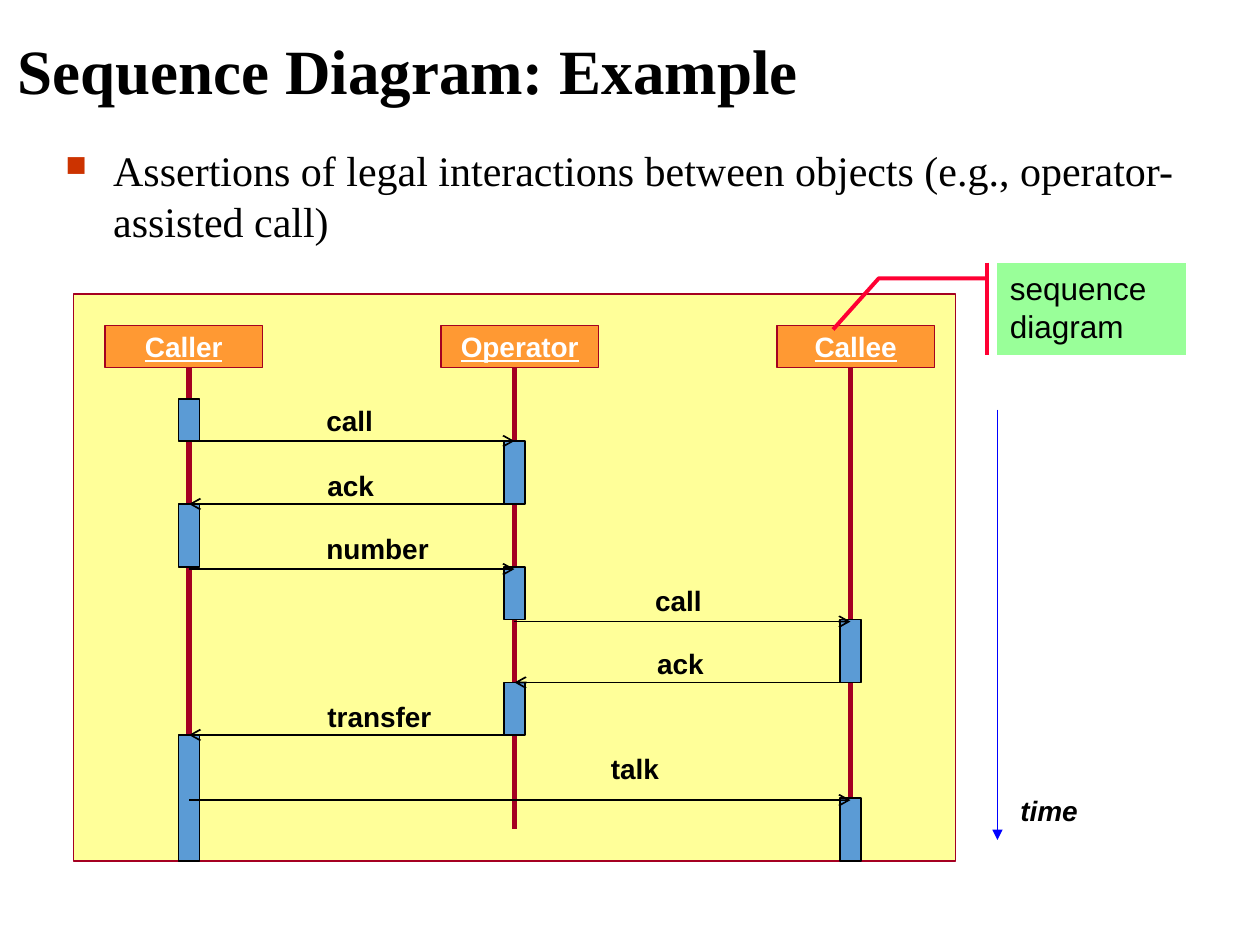
from lxml import etree
from pptx import Presentation
from pptx.dml.color import RGBColor
from pptx.enum.shapes import MSO_CONNECTOR, MSO_SHAPE
from pptx.enum.text import MSO_ANCHOR, MSO_AUTO_SIZE, PP_ALIGN
from pptx.oxml.ns import qn
from pptx.util import Inches, Pt

RECT = MSO_SHAPE.RECTANGLE
CALLOUT = MSO_SHAPE.LINE_CALLOUT_2_ACCENT_BAR
STRAIGHT = MSO_CONNECTOR.STRAIGHT
TOP, MIDDLE = MSO_ANCHOR.TOP, MSO_ANCHOR.MIDDLE
LEFT, CENTER = PP_ALIGN.LEFT, PP_ALIGN.CENTER
FIT = MSO_AUTO_SIZE.SHAPE_TO_FIT_TEXT

BLACK = RGBColor(0, 0, 0)
WHITE = RGBColor(0xFF, 0xFF, 0xFF)
CREAM = RGBColor(0xFF, 0xFF, 0x99)
ORANGE = RGBColor(0xFF, 0x99, 0x33)
MAROON = RGBColor(0xA5, 0x00, 0x21)
STEEL = RGBColor(0x5B, 0x9B, 0xD5)
BLUE = RGBColor(0, 0, 0xFF)
GREEN = RGBColor(0x99, 0xFF, 0x99)
RED = RGBColor(0xFF, 0x00, 0x33)
SERIF, SANS = "Times New Roman", "Arial"

# Grid: twelve cells to the inch
CELL = 12
ROLES = [("Caller", 10), ("Operator", 42), ("Callee", 74)]  # name, box column
LINES = [18, 49, 81]  # lifeline columns
# Activations: lifeline, top row, rows
BARS = [(0, 38, 4), (1, 42, 6), (0, 48, 6), (1, 54, 5),
        (2, 59, 6), (1, 65, 5), (0, 70, 12), (2, 76, 6)]
# Messages: text, from, to, row, label column, label row, label columns
CALLS = [("call", 0, 1, 42, 29.9, 37.8, 6.8),
         ("ack", 1, 0, 48, 30, 44, 6.8),
         ("number", 0, 1, 54.2, 29.9, 50, 12.2),
         ("call", 1, 2, 59.2, 61.2, 55, 6.8),
         ("ack", 2, 1, 65, 61.4, 61, 6.8),
         ("talk", 0, 2, 76.2, 57, 71, 7.1),
         ("transfer", 1, 0, 70, 30, 66, 12.4)]


def grid(*cells):
    return [Inches(n / CELL) for n in cells]


def write(frame, text, size, font=SANS, color=BLACK, align=LEFT, **style):
    para = frame.paragraphs[0]
    para.alignment = align
    run = para.add_run()
    run.text = text
    run.font.size, run.font.name = Pt(size), font
    run.font.color.rgb = color
    for key, value in style.items():
        setattr(run.font, key, value)
    return para


def add_box(slide, cells, fill, edge, width=1, kind=RECT):
    box = slide.shapes.add_shape(kind, *grid(*cells))
    box.shadow.inherit = False
    box.fill.solid()
    box.fill.fore_color.rgb = fill
    box.line.color.rgb = edge
    box.line.width = Pt(width)
    return box


def add_line(slide, cells, color, width=1, head=None):
    line = slide.shapes.add_connector(STRAIGHT, *grid(*cells))
    line.line.color.rgb = color
    line.line.width = Pt(width)
    if head:
        etree.SubElement(line.line._get_or_add_ln(), qn("a:tailEnd"), type=head)
    etree.SubElement(line._element.spPr, qn("a:effectLst"))


def add_label(slide, text, col, row, cols, **style):
    label = slide.shapes.add_textbox(*grid(col, row, cols, 4.4))
    label.text_frame.word_wrap = False
    label.text_frame.auto_size = FIT
    write(label.text_frame, text, 16, bold=True, **style)


def add_title(slide, text):
    title = slide.shapes.title
    title.left, title.top = Inches(0.04), Inches(0.12)
    title.width, title.height = Inches(8.62), Inches(1.45)
    frame = title.text_frame
    frame.vertical_anchor = TOP
    frame.margin_top = Inches(0.2)
    para = write(frame, text, 36, SERIF, bold=True)
    para.line_spacing = 0.9


def add_bullet(slide, text):
    body = slide.shapes.add_textbox(Inches(0.42), Inches(1.1), Inches(9), Inches(5.57))
    body.text_frame.word_wrap = True
    para = write(body.text_frame, text, 24, SERIF)
    para.space_before = Pt(4.8)
    props = para._p.get_or_add_pPr()
    props.set("marL", str(Inches(0.38)))
    props.set("indent", str(-Inches(0.38)))
    tint = etree.SubElement(props, qn("a:buClr"))
    etree.SubElement(tint, qn("a:srgbClr"), val="CC3300")
    etree.SubElement(props, qn("a:buSzPct"), val="69000")
    etree.SubElement(props, qn("a:buChar"), char="■")


def add_role(slide, name, col):
    box = add_box(slide, (col, 31, 15, 4), ORANGE, MAROON)
    box.text_frame.word_wrap = False
    box.text_frame.vertical_anchor = MIDDLE
    write(box.text_frame, name, 16, color=WHITE, align=CENTER,
          bold=True, underline=True)


def add_callout(slide, text):
    note = add_box(slide, (95, 25, 18, 8.8), GREEN, RED, 2.25, CALLOUT)
    for i, value in enumerate((0.171, -0.056, 0.171, -0.628, 0.725, -0.87)):
        note.adjustments[i] = round(value, 3)
    note.text_frame.word_wrap = True
    note.text_frame.vertical_anchor = TOP
    write(note.text_frame, text, 18)


def main():
    deck = Presentation()
    deck.slide_width, deck.slide_height = Inches(10), Inches(7.5)
    slide = deck.slides.add_slide(deck.slide_layouts[5])
    add_title(slide, "Sequence Diagram: Example")

    # Frame, roles and lifelines
    add_box(slide, (7, 28, 84, 54), CREAM, MAROON)
    for name, col in ROLES:
        add_role(slide, name, col)
    for col in LINES:
        add_line(slide, (col, 35, col, 79), MAROON, 3)

    add_bullet(slide, "Assertions of legal interactions between objects "
                      "(e.g., operator-assisted call)")

    # Time axis
    add_line(slide, (95, 39, 95, 80), BLUE, head="triangle")
    add_label(slide, "time", 96, 75, 7.9, italic=True)

    # Activations and messages
    for role, row, rows in BARS:
        add_box(slide, (LINES[role] - 1, row, 2, rows), STEEL, BLACK)
    for text, start, end, row, col, top, cols in CALLS:
        add_line(slide, (LINES[start], row, LINES[end], row), BLACK, head="arrow")
        add_label(slide, text, col, top, cols)

    add_callout(slide, "sequence diagram")
    deck.save("out.pptx")


if __name__ == "__main__":
    main()
